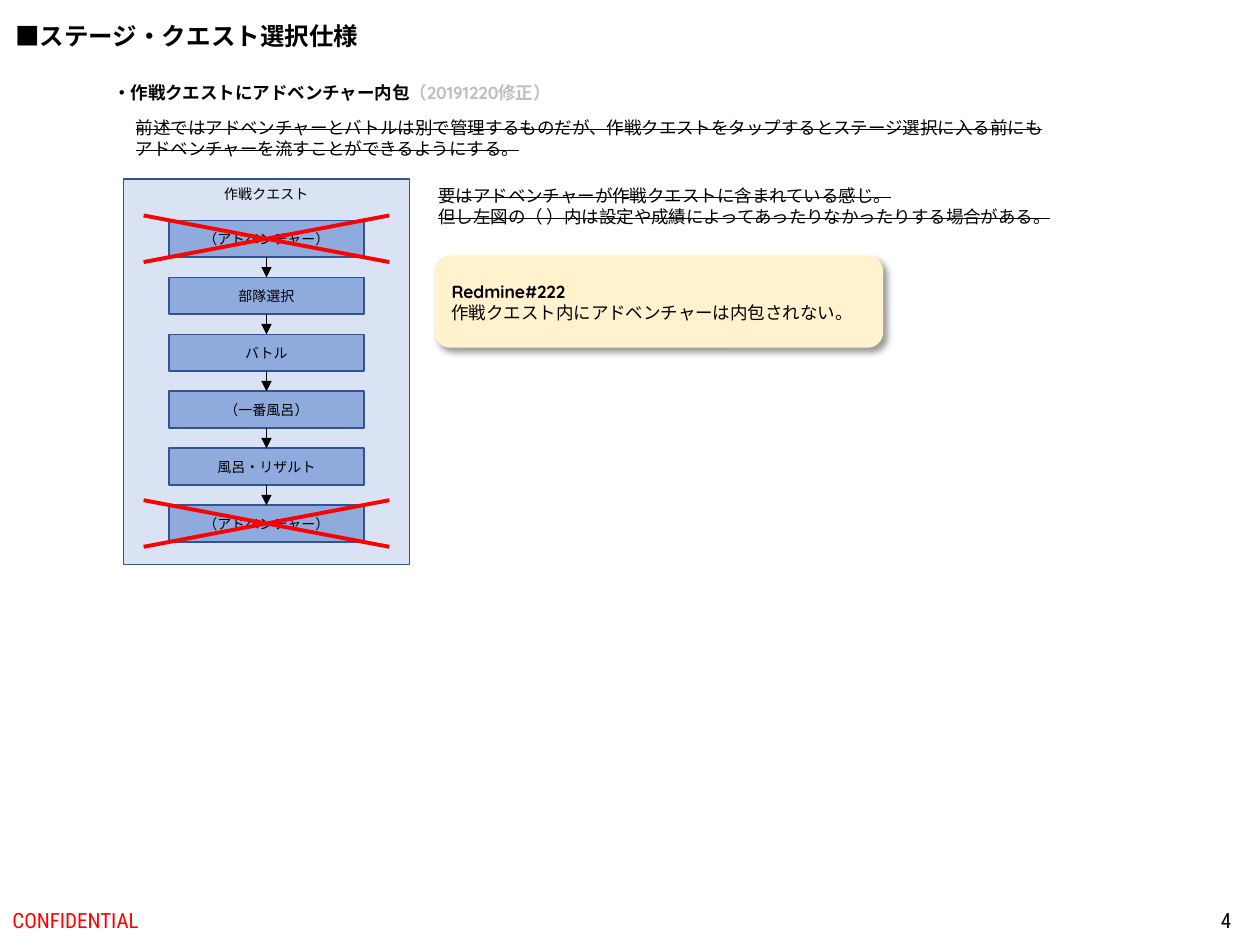
from lxml.etree import SubElement
from pptx import Presentation
from pptx.dml.color import RGBColor
from pptx.enum.shapes import MSO_CONNECTOR, MSO_SHAPE
from pptx.enum.text import MSO_ANCHOR, MSO_AUTO_SIZE, PP_ALIGN
from pptx.oxml.ns import qn
from pptx.util import Inches, Pt

BLACK = RGBColor(0x00, 0x00, 0x00)
RED = RGBColor(0xFF, 0x00, 0x00)
GRAY = RGBColor(0xBF, 0xBF, 0xBF)
PANEL = RGBColor(0xDA, 0xE3, 0xF3)
STEP = RGBColor(0x8F, 0xAA, 0xDC)
BORDER = RGBColor(0x32, 0x54, 0x91)
NOTE = RGBColor(0xFF, 0xF2, 0xCC)

# Content: each paragraph is a list of (text, run format) pairs
TITLE = "■ステージ・クエスト選択仕様"
HEADING = [[("・作戦クエストにアドベンチャー内包", {}), ("（20191220修正）", {"color": GRAY})]]
INTRO = [
    "前述ではアドベンチャーとバトルは別で管理するものだが、作戦クエストをタップするとステージ選択に入る前にも",
    "アドベンチャーを流すことができるようにする。",
]
REMARK = [
    "要はアドベンチャーが作戦クエストに含まれている感じ。",
    "但し左図の（ ）内は設定や成績によってあったりなかったりする場合がある。",
]
TICKET = [
    [("Redmine#222", {"bold": True})],
    [("作戦クエスト内にアドベンチャーは内包されない。", {})],
]
FLOW_NAME = "作戦クエスト"
STEPS = ["（アドベンチャー）", "部隊選択", "バトル", "（一番風呂）", "風呂・リザルト", "（アドベンチャー）"]
CROSSED = [0, 5]

# Flow chart grid, in inches
PANEL_BOX = (0.98, 1.42, 2.27, 3.06)
STEP_WIDTH, STEP_HEIGHT = 1.55, 0.29
STEP_TOP, STEP_PITCH = 1.75, 0.452
CROSS_WIDTH, CROSS_HEIGHT = 1.95, 0.37
CENTER = PANEL_BOX[0] + PANEL_BOX[2] / 2


def write(shape, text, size=10, font="Quicksand", color=BLACK, bold=False, strike=False,
          align=PP_ALIGN.LEFT, anchor=MSO_ANCHOR.TOP):
    """Fill a shape with a string, a list of strings or a list of run lists."""
    frame = shape.text_frame
    frame.word_wrap = True
    frame.auto_size = MSO_AUTO_SIZE.NONE
    frame.vertical_anchor = anchor
    lines = [text] if isinstance(text, str) else text
    for index, line in enumerate(lines):
        paragraph = frame.add_paragraph() if index else frame.paragraphs[0]
        paragraph.alignment = align
        for content, style in ([(line, {})] if isinstance(line, str) else line):
            run = paragraph.add_run()
            run.text = content
            run.font.name = font
            run.font.size = Pt(size)
            run.font.bold = style.get("bold", bold)
            run.font.color.rgb = style.get("color", color)
            if strike:
                run.font._element.set("strike", "sngStrike")


def add_text(slide, box, text, **style):
    write(slide.shapes.add_textbox(*map(Inches, box)), text, **style)


def add_box(shapes, kind, box, fill, border=None):
    shape = shapes.add_shape(kind, *map(Inches, box))
    shape.fill.solid()
    shape.fill.fore_color.rgb = fill
    if border is None:
        shape.line.fill.background()
    else:
        shape.line.color.rgb = border
        shape.line.width = Pt(1)
    shape.shadow.inherit = False
    return shape


def add_line(shapes, start, end, color, width, arrow=False):
    points = map(Inches, (*start, *end))
    connector = shapes.add_connector(MSO_CONNECTOR.STRAIGHT, *points)
    connector.line.color.rgb = color
    connector.line.width = Pt(width)
    if arrow:
        SubElement(connector.line._get_or_add_ln(), qn("a:tailEnd"), type="triangle")
    SubElement(connector._element.spPr, qn("a:effectLst"))
    return connector


def add_soft_shadow(shape):
    effects = shape._element.spPr.find(qn("a:effectLst"))
    shadow = SubElement(effects, qn("a:outerShdw"), blurRad=str(Pt(4)), dist=str(Pt(3)),
                        dir="2700000", algn="tl", rotWithShape="0")
    SubElement(SubElement(shadow, qn("a:prstClr"), val="black"), qn("a:alpha"), val="40000")


def add_flow(slide):
    shapes = slide.shapes.add_group_shape().shapes
    panel = add_box(shapes, MSO_SHAPE.RECTANGLE, PANEL_BOX, PANEL, BORDER)
    write(panel, FLOW_NAME, size=8, align=PP_ALIGN.CENTER)
    steps = []
    for index, name in enumerate(STEPS):
        box = (CENTER - STEP_WIDTH / 2, STEP_TOP + index * STEP_PITCH, STEP_WIDTH, STEP_HEIGHT)
        step = add_box(shapes, MSO_SHAPE.RECTANGLE, box, STEP, BORDER)
        write(step, name, size=8, align=PP_ALIGN.CENTER, anchor=MSO_ANCHOR.MIDDLE)
        steps.append(step)
    # Arrows between neighbouring steps
    for index, (upper, lower) in enumerate(zip(steps, steps[1:])):
        top = STEP_TOP + index * STEP_PITCH
        arrow = add_line(shapes, (CENTER, top + STEP_HEIGHT), (CENTER, top + STEP_PITCH),
                         BLACK, 1, arrow=True)
        arrow.begin_connect(upper, 2)
        arrow.end_connect(lower, 0)


def add_cross(slide, index):
    shapes = slide.shapes.add_group_shape().shapes
    middle = STEP_TOP + index * STEP_PITCH + STEP_HEIGHT / 2
    left, right = CENTER - CROSS_WIDTH / 2, CENTER + CROSS_WIDTH / 2
    top, bottom = middle - CROSS_HEIGHT / 2, middle + CROSS_HEIGHT / 2
    add_line(shapes, (left, top), (right, bottom), RED, 2.25)
    add_line(shapes, (right, top), (left, bottom), RED, 2.25)


def main():
    presentation = Presentation()
    presentation.slide_width, presentation.slide_height = Inches(10), Inches(7.5)
    slide = presentation.slides.add_slide(presentation.slide_layouts[5])

    # Title and footer
    title = slide.shapes.title
    title.left, title.top, title.width, title.height = map(Inches, (0.02, 0.12, 2.95, 0.34))
    write(title, TITLE, size=14, font="Arial", bold=True)
    footer = {"size": 12, "font": "Roboto Condensed", "anchor": MSO_ANCHOR.MIDDLE}
    add_text(slide, (0, 7.1, 3.38, 0.4), "CONFIDENTIAL", color=RED, **footer)
    add_text(slide, (7.62, 7.1, 2.25, 0.4), "4", align=PP_ALIGN.RIGHT, **footer)

    # Heading and withdrawn description
    add_text(slide, (0.8, 0.6, 3.78, 0.27), HEADING, bold=True)
    add_text(slide, (0.98, 0.88, 7.78, 0.44), INTRO, strike=True)

    # Flow chart with its remark and crossed-out steps
    add_flow(slide)
    add_text(slide, (3.38, 1.42, 5.15, 0.44), REMARK, strike=True)
    for index in CROSSED:
        add_cross(slide, index)

    # Ticket note
    note = add_box(slide.shapes, MSO_SHAPE.ROUNDED_RECTANGLE, (3.45, 2.03, 3.56, 0.73), NOTE)
    add_soft_shadow(note)
    write(note, TICKET, anchor=MSO_ANCHOR.MIDDLE)

    presentation.save("out.pptx")


if __name__ == "__main__":
    main()
